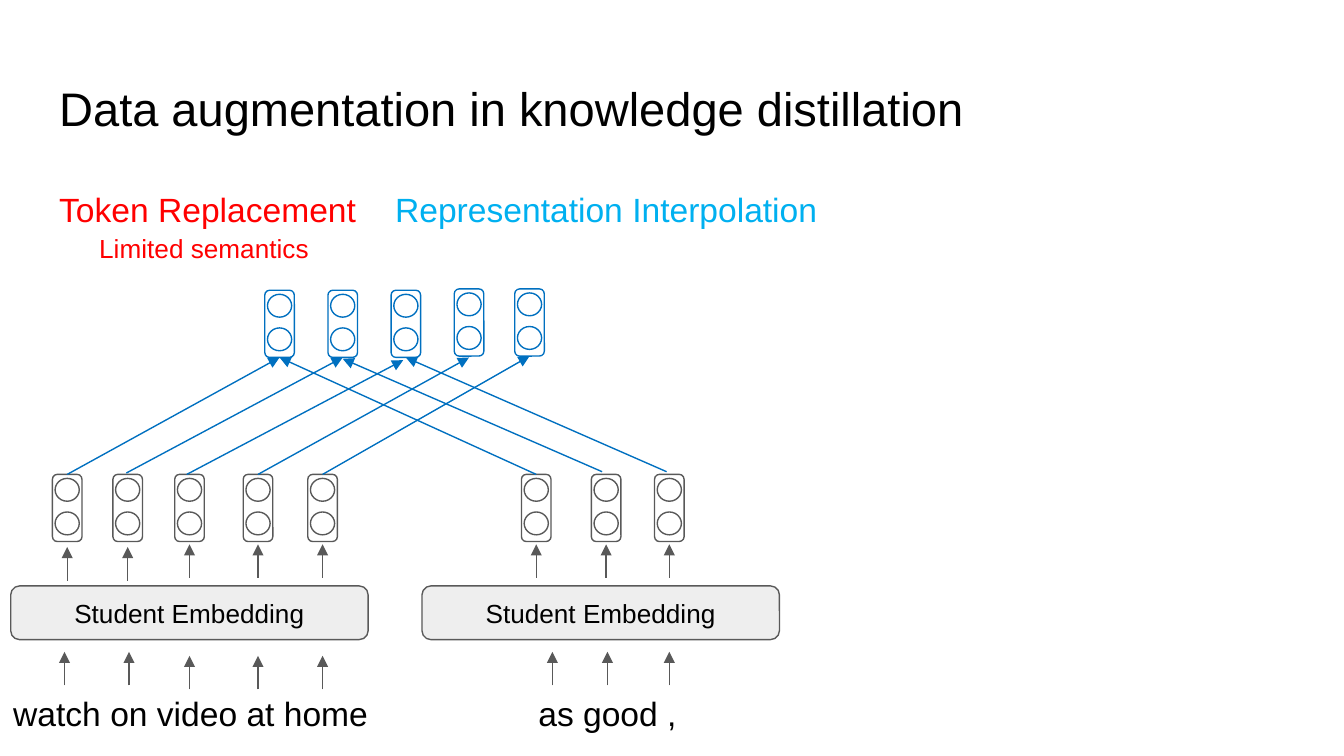
"""Build the slide on data augmentation in knowledge distillation."""
from lxml.etree import SubElement
from pptx import Presentation
from pptx.dml.color import RGBColor
from pptx.enum.shapes import MSO_CONNECTOR as Connector, MSO_SHAPE as Preset
from pptx.enum.text import MSO_ANCHOR as Anchor, MSO_AUTO_SIZE as Fit, PP_ALIGN as Align
from pptx.oxml.ns import qn
from pptx.util import Pt

PX = 9144
BLACK = RGBColor(0x00, 0x00, 0x00)
RED = RGBColor(0xFF, 0x00, 0x00)
CYAN = RGBColor(0x00, 0xB0, 0xF0)
BLUE = RGBColor(0x00, 0x70, 0xC0)
GRAY = RGBColor(0x59, 0x59, 0x59)
PALE = RGBColor(0xEE, 0xEE, 0xEE)

deck = Presentation()
deck.slide_width = 1000 * PX
deck.slide_height = deck.slide_width * 9 // 16
slide = deck.slides.add_slide(deck.slide_layouts[1])
shapes = slide.shapes


def write(holder, runs, size, frame_format, paragraph_format):
    frame = holder.text_frame
    margins = dict.fromkeys(("margin_left", "margin_top", "margin_right", "margin_bottom"), 10 * PX)
    for name, value in {**margins, "word_wrap": True, **frame_format}.items():
        setattr(frame, name, value)
    paragraph = frame.paragraphs[0]
    for name, value in paragraph_format.items():
        setattr(paragraph, name, value)
    for words, colour in runs:
        run = paragraph.add_run()
        run.text = words
        run.font.color.rgb = colour
        for name, value in {"name": "Arial", "size": Pt(size)}.items():
            setattr(run.font, name, value)
    return paragraph


def outline(preset, left, top, width, height, colour):
    shape = shapes.add_shape(preset, left * PX, top * PX, width * PX, height * PX)
    shape.shadow.inherit = False
    shape.fill.background()
    shape.line.color.rgb = colour
    shape.line.width = Pt(0.75)
    return shape


title, methods = shapes.title, slide.placeholders[1]
for holder, top, height in ((title, 49, 63), (methods, 126, 413)):
    place = {"left": 34, "top": top, "width": 932, "height": height}
    for name, value in place.items():
        setattr(holder, name, value * PX)

spaced = {"line_spacing": 1.15, "space_before": Pt(0), "space_after": Pt(12)}
write(title, [("Data augmentation in knowledge distillation", BLACK)], 25.2,
      {"auto_size": Fit.NONE, "vertical_anchor": Anchor.MIDDLE}, {"alignment": Align.LEFT})
method_line = write(methods, [("Token Replacement\t", RED), ("Representation Interpolation", CYAN)], 18,
                    {"auto_size": Fit.NONE, "vertical_anchor": Anchor.TOP}, spaced)
method_props = method_line._p.get_or_add_pPr()
for name in ("marL", "indent"):
    method_props.set(name, "0")
SubElement(method_props, qn("a:buNone"))
tab_stops = SubElement(method_props, qn("a:tabLst"))
SubElement(tab_stops, qn("a:tab"), pos=str(248 * PX), algn="l")

for sentence, left, align in (("watch on video at home", 0, Align.LEFT), ("as good ,", 288, Align.CENTER)):
    caption = shapes.add_textbox(left * PX, 501 * PX, 328 * PX, 72 * PX)
    write(caption, [(sentence, BLACK)], 18, {"auto_size": Fit.SHAPE_TO_FIT_TEXT},
          {**spaced, "alignment": align})

for left in (8, 314):
    embedding = outline(Preset.ROUNDED_RECTANGLE, left, 436, 266, 40, GRAY)
    embedding.fill.solid()
    embedding.fill.fore_color.rgb = PALE
    write(embedding, [("Student Embedding", BLACK)], 14, {"vertical_anchor": Anchor.MIDDLE},
          {"alignment": Align.CENTER})

token_cells = [(centre, 353, GRAY) for centre in (50, 95, 141, 192, 240, 399, 451, 498)]
mixed_cells = [(208, 216, BLUE), (255, 216, BLUE), (302, 216, BLUE), (349, 215, BLUE), (394, 215, BLUE)]
for centre, top, colour in token_cells + mixed_cells:
    outline(Preset.ROUNDED_RECTANGLE, centre - 11, top, 22, 50, colour)
    for drop in (3, 28):
        outline(Preset.OVAL, centre - 9, top + drop, 18, 17, colour)

word_starts = [(48, 510), (96, 510), (141, 513), (192, 513), (240, 513), (411, 510), (452, 510), (498, 510)]
vector_starts = [(centre, 432 if centre < 100 else 430) for centre, _, _ in token_cells]
arrows = [(x, y, x, y - 25, GRAY) for x, y in word_starts + vector_starts]
arrows += [(*ends, BLUE) for ends in (
    (50, 353, 208, 266), (399, 353, 208, 266), (94, 352, 255, 266), (448, 351, 255, 267),
    (139, 353, 300, 268), (496, 351, 302, 266), (192, 353, 349, 266), (240, 353, 394, 265))]
for x1, y1, x2, y2, colour in arrows:
    arrow = shapes.add_connector(Connector.STRAIGHT, x1 * PX, y1 * PX, x2 * PX, y2 * PX)
    arrow.line.color.rgb = colour
    arrow.line.width = Pt(0.75)
    SubElement(arrow.line._get_or_add_ln(), qn("a:tailEnd"), type="triangle")
    SubElement(arrow._element.spPr, qn("a:effectLst"))

limitation = shapes.add_textbox(64 * PX, 168 * PX, 177 * PX, 34 * PX)
write(limitation, [("Limited semantics", RED)], 14,
      {"auto_size": Fit.SHAPE_TO_FIT_TEXT, "word_wrap": False, "margin_top": 5 * PX, "margin_bottom": 5 * PX}, {})

deck.save("out.pptx")
